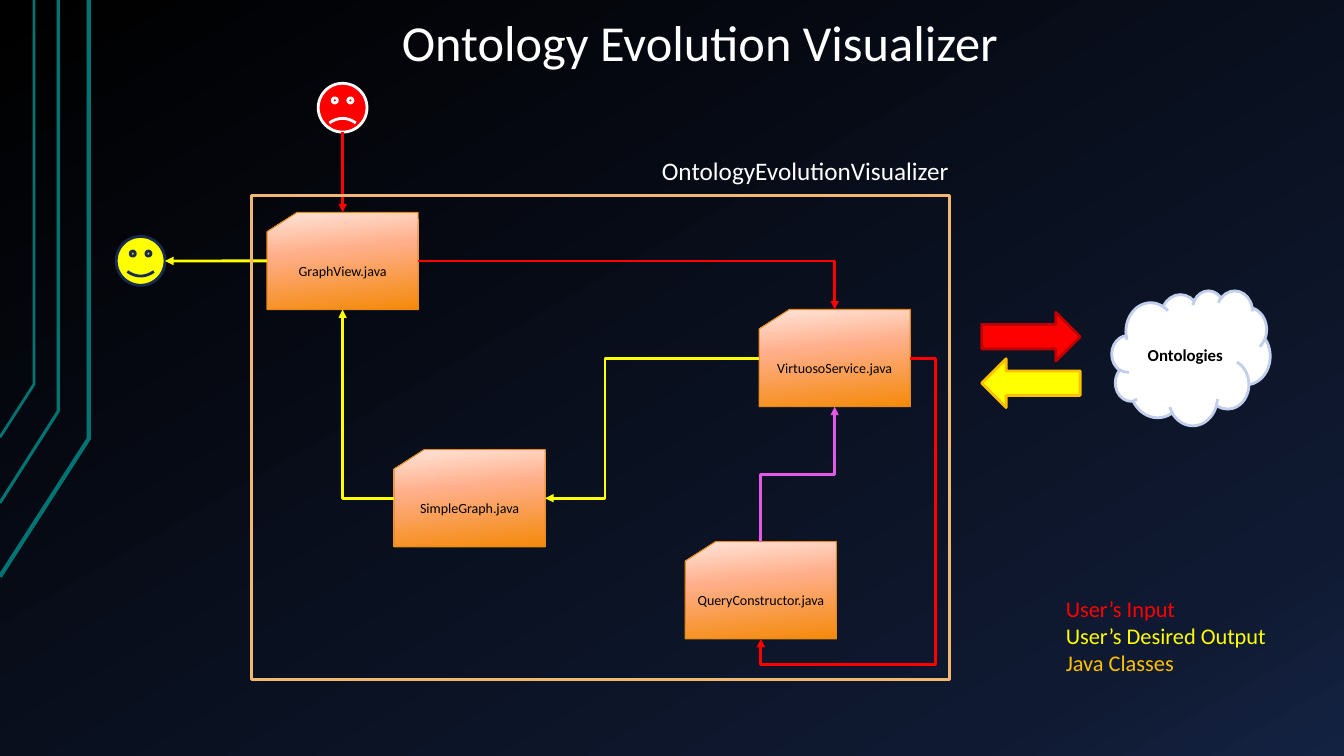
from lxml import etree
from pptx import Presentation
from pptx import util as u
from pptx.dml.color import RGBColor
from pptx.enum import shapes, text
from pptx.oxml.ns import qn

WHITE = RGBColor(0xFF, 0xFF, 0xFF)
BLACK = RGBColor(0x00, 0x00, 0x00)
RED = RGBColor(0xFF, 0x00, 0x00)
DARK_RED = RGBColor(0xC0, 0x00, 0x00)
YELLOW = RGBColor(0xFF, 0xFF, 0x00)
AMBER = RGBColor(0xFF, 0xC0, 0x00)
PINK = RGBColor(0xE3, 0x59, 0xE6)
NAVY = RGBColor(0x19, 0x2A, 0x52)
TEAL = RGBColor(0x00, 0x73, 0x73)
PALE_BLUE = RGBColor(0xC1, 0xCE, 0xEC)
ORANGE = RGBColor(0xE9, 0x89, 0x15)
SAND = RGBColor(0xF2, 0xB8, 0x72)
NIGHT_STOPS = [(0, BLACK), (85, RGBColor(0x0F, 0x19, 0x31)),
               (100, RGBColor(0x14, 0x22, 0x42))]
CARD_STOPS = [(0, RGBColor(0xFF, 0xE5, 0xDA)), (40, RGBColor(0xFF, 0xAE, 0x89)),
              (100, RGBColor(0xF4, 0x8A, 0x0A))]

PRESET = shapes.MSO_SHAPE
CENTER = text.PP_ALIGN.CENTER
LEFT = text.PP_ALIGN.LEFT


def set_gradient(fill, element, stops, angle):
    """Fill with any number of (percent, colour) stops; angle runs clockwise."""
    fill.gradient()
    fill.gradient_angle = 360 - angle
    stop_list = element.find(".//" + qn("a:gsLst"))
    for old_stop in list(stop_list):
        stop_list.remove(old_stop)
    for percent, color in stops:
        stop = etree.SubElement(stop_list, qn("a:gs"), pos=str(percent * 1000))
        etree.SubElement(stop, qn("a:srgbClr"), val=str(color))


def side(shape, name):
    """Middle of one side of a shape, as an (x, y) point."""
    across = {"left": 0, "right": 1}.get(name, 0.5)
    down = {"top": 0, "bottom": 1}.get(name, 0.5)
    return (int(shape.left + across * shape.width),
            int(shape.top + down * shape.height))


class Diagram:
    font = "Calibri"
    stroke = 2
    card_size = (3.81, 2.45)
    face_size = (1.23, 1.23)

    def __init__(self, slide):
        self.slide = slide
        set_gradient(slide.background.fill, slide._element, NIGHT_STOPS, 60)

    def outline(self, shape, color, width=stroke):
        shape.line.color.rgb = color
        shape.line.width = u.Pt(width)

    def set_lines(self, frame, lines, size, align, bold=False):
        """Fill a frame with one paragraph per (wording, colour) pair."""
        frame.text = "\n".join(wording for wording, _ in lines)
        for paragraph, (_, color) in zip(frame.paragraphs, lines):
            paragraph.alignment = align
            for run in paragraph.runs:
                run.font.name = self.font
                run.font.size = u.Pt(size)
                run.font.bold = bold
                run.font.color.rgb = color

    def label(self, left, top, width, height, lines, size, align=LEFT):
        frame = self.slide.shapes.add_textbox(
            u.Cm(left), u.Cm(top), u.Cm(width), u.Cm(height)).text_frame
        frame.word_wrap = True
        self.set_lines(frame, lines, size, align)
        return frame

    def shape(self, preset, left, top, size, fill, line, width=stroke):
        shape = self.slide.shapes.add_shape(
            preset, u.Cm(left), u.Cm(top), u.Cm(size[0]), u.Cm(size[1]))
        shape.shadow.inherit = False
        if fill is None:
            shape.fill.background()
        else:
            shape.fill.solid()
            shape.fill.fore_color.rgb = fill
        self.outline(shape, line, width)
        return shape

    def card(self, class_file, left, top):
        card = self.shape(PRESET.FLOWCHART_CARD, left, top, self.card_size,
                          None, ORANGE, 0.75)
        set_gradient(card.fill, card._element, CARD_STOPS, 84)
        card.text_frame.vertical_anchor = text.MSO_ANCHOR.MIDDLE
        self.set_lines(card.text_frame, [(class_file, BLACK)], 10, CENTER)
        return card

    def face(self, left, top, fill, line, smile):
        face = self.shape(PRESET.SMILEY_FACE, left, top, self.face_size, fill, line)
        face.adjustments[0] = smile
        return face

    def rail(self, x, bend, bottom, width):
        builder = self.slide.shapes.build_freeform(0, u.Cm(bottom))
        builder.add_line_segments(
            [(u.Cm(x), u.Cm(bend)), (u.Cm(x), 0)], close=False)
        rail = builder.convert_to_shape()
        rail.shadow.inherit = False
        rail.fill.background()
        self.outline(rail, TEAL, width)

    def arrow(self, start, end, color, preset="line", bends=(), upward=False):
        """Arrow between points; upward makes an elbow leave vertically."""
        if upward:
            mid_x, mid_y = (start[0] + end[0]) // 2, (start[1] + end[1]) // 2
            half_x, half_y = abs(end[0] - start[0]) // 2, abs(end[1] - start[1]) // 2
            start = (mid_x - half_y, mid_y - half_x)
            end = (mid_x + half_y, mid_y + half_x)
        arrow = self.slide.shapes.add_connector(
            shapes.MSO_CONNECTOR.STRAIGHT, *start, *end)
        self.outline(arrow, color)
        properties = arrow._element.spPr
        if upward:
            properties.find(qn("a:xfrm")).set("rot", str(270 * 60000))
        geometry = properties.find(qn("a:prstGeom"))
        geometry.set("prst", preset)
        guides = geometry.find(qn("a:avLst"))
        for number, bend in enumerate(bends, 1):
            etree.SubElement(guides, qn("a:gd"), name=f"adj{number}",
                             fmla=f"val {round(bend * 100000)}")
        etree.SubElement(properties.find(qn("a:ln")), qn("a:tailEnd"), type="triangle")
        etree.SubElement(properties, qn("a:effectLst"))


def main():
    deck = Presentation()
    deck.slide_width, deck.slide_height = u.Cm(33.87), u.Cm(19.05)
    diagram = Diagram(deck.slides.add_slide(deck.slide_layouts[6]))

    for rail in [(2.24, 11.05, 14.53, 3), (1.47, 10.36, 12.67, 2.25),
                 (0.86, 9.68, 11.02, 2)]:
        diagram.rail(*rail)

    title = diagram.label(3.25, 0.18, 28.78, 1.78,
                          [("Ontology Evolution Visualizer", WHITE)], 36, CENTER)
    title.vertical_anchor = text.MSO_ANCHOR.BOTTOM
    title.paragraphs[0].line_spacing = 0.9

    ontologies = diagram.shape(PRESET.CLOUD, 28.02, 7.32, (3.99, 3.4), WHITE, PALE_BLUE)
    ontologies.text_frame.vertical_anchor = text.MSO_ANCHOR.MIDDLE
    diagram.set_lines(ontologies.text_frame, [("Ontologies", BLACK)], 12, CENTER,
                      bold=True)

    query = diagram.card("QueryConstructor.java", 17.27, 13.65)
    virtuoso = diagram.card("VirtuosoService.java", 19.13, 7.8)
    graph = diagram.card("SimpleGraph.java", 9.93, 11.33)
    view = diagram.card("GraphView.java", 6.73, 5.35)

    diagram.arrow(side(view, "right"), side(virtuoso, "top"), RED, "bentConnector2")
    diagram.arrow(side(virtuoso, "right"), side(query, "bottom"), RED,
                  "bentConnector4", (-0.17, 1.09))
    diagram.arrow(side(query, "top"), side(virtuoso, "bottom"), PINK,
                  "bentConnector3", (0.5,), upward=True)
    diagram.arrow(side(virtuoso, "left"), side(graph, "right"), YELLOW,
                  "bentConnector3", (0.72,))
    diagram.arrow(side(graph, "left"), side(view, "bottom"), YELLOW, "bentConnector2")

    block_arrow = (2.48, 1.23)
    diagram.shape(PRESET.RIGHT_ARROW, 24.74, 7.87, block_arrow, RED, DARK_RED)
    reply = diagram.shape(PRESET.RIGHT_ARROW, 24.74, 9.04, block_arrow, YELLOW, AMBER)
    reply.rotation = 180

    happy = diagram.face(2.93, 5.96, YELLOW, NAVY, 0.05)
    sad = diagram.face(8.02, 2.1, RED, WHITE, -0.05)

    diagram.label(26.61, 14.88, 5.6, 3,
                  [("User’s Input", RED), ("User’s Desired Output", YELLOW),
                   ("Java Classes", AMBER)], 16)

    diagram.arrow(side(sad, "bottom"), side(view, "top"), RED)
    diagram.arrow(side(view, "left"), side(happy, "right"), YELLOW)

    diagram.shape(PRESET.FLOWCHART_PROCESS, 6.33, 4.92, (17.6, 12.2), None, SAND)
    diagram.label(16.43, 3.8, 7.77, 1.03, [("OntologyEvolutionVisualizer", WHITE)], 18)

    deck.save("out.pptx")


if __name__ == "__main__":
    main()
